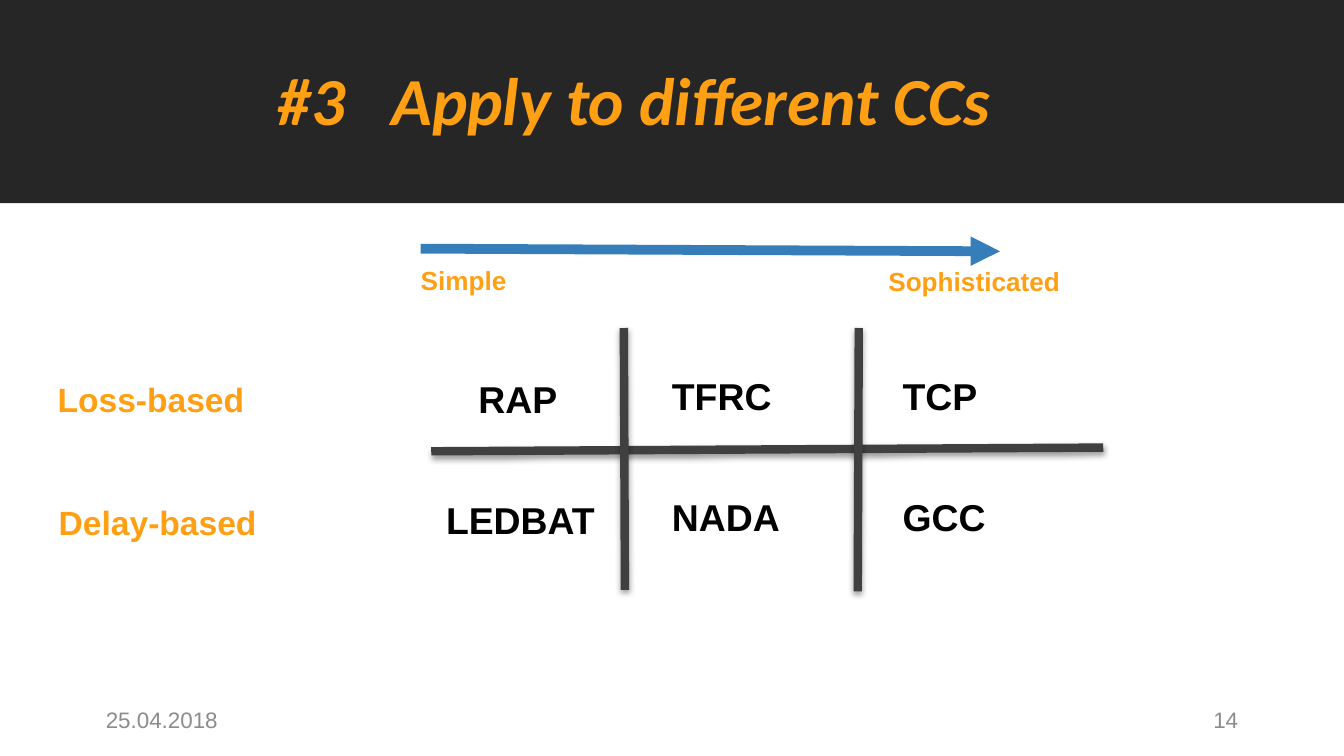
from lxml import etree
from pptx import Presentation
from pptx.dml.color import RGBColor
from pptx.enum.shapes import MSO_CONNECTOR, MSO_SHAPE
from pptx.enum.text import MSO_ANCHOR as Anchor, PP_ALIGN as Align
from pptx.oxml.ns import qn
from pptx.util import Cm, Pt

ORANGE = RGBColor(0xFF, 0x9F, 0x13)
BLUE = RGBColor(0x36, 0x7E, 0xB9)
BAND = RGBColor(0x26, 0x26, 0x26)
RULE = RGBColor(0x40, 0x40, 0x40)
GREY = RGBColor(0x8C, 0x8C, 0x8C)
BLACK = RGBColor(0, 0, 0)


class SlideBuilder:
    font = "Arial"

    def __init__(self, slide):
        self.slide = slide

    def band(self, width, height, color):
        band = self.slide.shapes.add_shape(
            MSO_SHAPE.RECTANGLE, 0, 0, Cm(width), Cm(height))
        band.shadow.inherit = False
        band.fill.solid()
        band.fill.fore_color.rgb = color
        band.line.fill.background()

    def text(self, words, left, top, width, height, size, color, bold=True,
             italic=False, font=None, align=Align.LEFT, anchor=Anchor.TOP, tab=None):
        box = self.slide.shapes.add_textbox(Cm(left), Cm(top), Cm(width), Cm(height))
        frame = box.text_frame
        frame.word_wrap = True
        frame.vertical_anchor = anchor
        frame.text = words
        paragraph = frame.paragraphs[0]
        paragraph.alignment = align
        if tab:
            tabs = etree.SubElement(paragraph._p.get_or_add_pPr(), qn("a:tabLst"))
            etree.SubElement(tabs, qn("a:tab"), pos=str(Cm(tab)), algn="l")
        style = paragraph.runs[0].font
        style.name = font or self.font
        style.size = Pt(size)
        style.bold = bold
        style.italic = italic
        style.color.rgb = color

    def line(self, x1, y1, x2, y2, color, weight, arrow=False, shadow=False):
        line = self.slide.shapes.add_connector(
            MSO_CONNECTOR.STRAIGHT, Cm(x1), Cm(y1), Cm(x2), Cm(y2))
        line.line.color.rgb = color
        line.line.width = Pt(weight)
        if arrow:
            etree.SubElement(line.line._get_or_add_ln(), qn("a:tailEnd"), type="triangle")
        effects = etree.SubElement(line._element.spPr, qn("a:effectLst"))
        if shadow:
            outer = etree.SubElement(effects, qn("a:outerShdw"), blurRad="40000",
                                     dist="20000", dir="5400000", rotWithShape="0")
            tint = etree.SubElement(outer, qn("a:srgbClr"), val="000000")
            etree.SubElement(tint, qn("a:alpha"), val="38000")


def main():
    deck = Presentation()
    deck.slide_width, deck.slide_height = Cm(25.4), Cm(14.29)
    page = SlideBuilder(deck.slides.add_slide(deck.slide_layouts[6]))

    # Footer
    page.text("25.04.2018", 1.75, 13.23, 5.72, 0.76, 12, GREY, bold=False,
              anchor=Anchor.MIDDLE)
    page.text("14", 17.93, 13.23, 5.72, 0.76, 12, GREY, bold=False,
              align=Align.RIGHT, anchor=Anchor.MIDDLE)

    # Title band
    page.band(25.4, 3.84, BAND)
    page.text("#3\tApply to different CCs", 5, 0.97, 19.94, 1.8, 36, ORANGE,
              italic=True, font="Calibri", tab=2.15)

    # Complexity axis
    page.line(7.95, 4.7, 18.9, 4.75, BLUE, 5.25, arrow=True)
    page.text("Simple", 7.7, 4.88, 2.82, 0.86, 14, ORANGE)
    page.text("Sophisticated", 16.54, 4.9, 4.27, 0.86, 14, ORANGE)

    # Row labels
    page.text("Loss-based", 0.84, 7.04, 5.18, 1.02, 18, ORANGE)
    page.text("Delay-based", 0.86, 9.37, 5.18, 1.02, 18, ORANGE)

    # Grid rules
    for ends in ((8.15, 8.53, 20.85, 8.46),
                 (11.79, 6.2, 11.81, 11.15),
                 (16.23, 6.2, 16.21, 11.18)):
        page.line(*ends, RULE, 4.5, shadow=True)

    # Congestion controls: top of first row, then (name, left) per row
    row_pitch = 2.29
    columns = (
        (6.99, (("RAP", 8.79), ("LEDBAT", 8.18))),
        (6.93, (("TFRC", 12.45), ("NADA", 12.45))),
        (6.93, (("TCP", 16.81), ("GCC", 16.81))),
    )
    for top, controls in columns:
        for row, (control, left) in enumerate(controls):
            page.text(control, left, top + row * row_pitch, 3.86, 1.11, 20, BLACK)

    deck.save("out.pptx")


if __name__ == "__main__":
    main()
